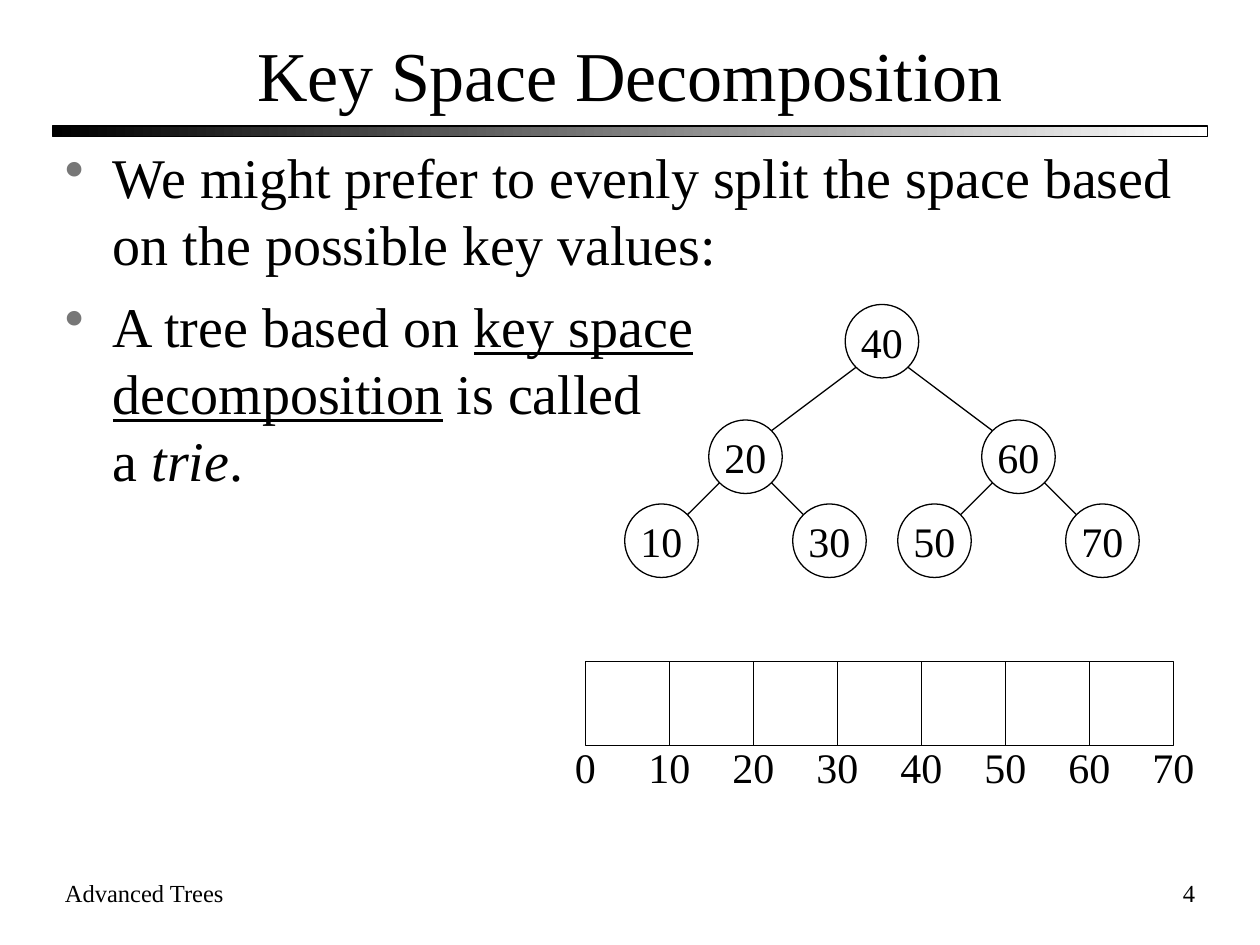
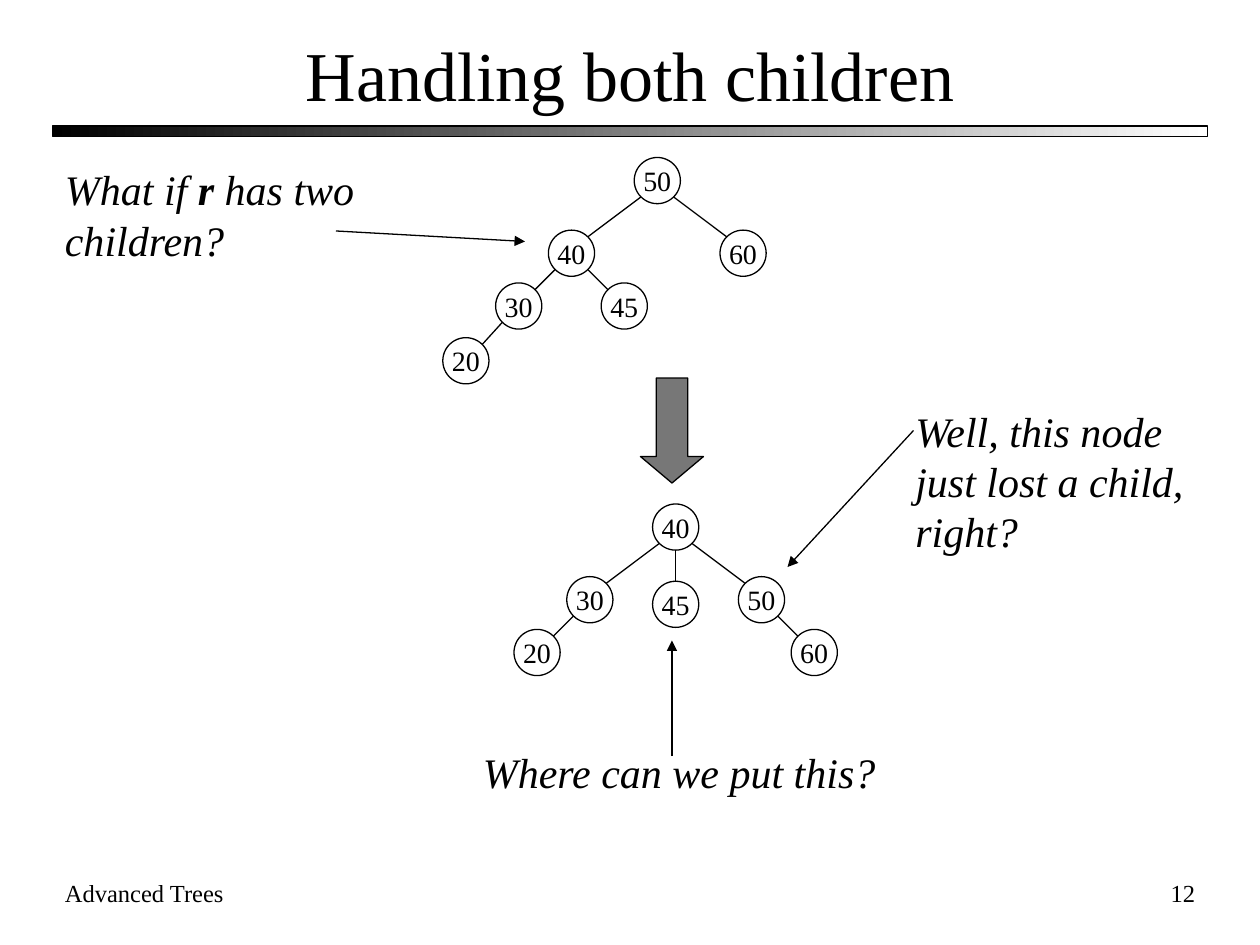
from collections import namedtuple
from dataclasses import dataclass

from lxml import etree
from pptx import Presentation
from pptx import util as u
from pptx.dml.color import RGBColor
from pptx.enum import shapes, text
from pptx.oxml.ns import qn

Box = namedtuple("Box", "left top width height")
Span = namedtuple("Span", "text bold italic underline", defaults=(None, None, None))
COLUMNS, ROWS = 120, 90
CELL = u.Inches(10) / COLUMNS
NODE_UNITS = 7
BREAK = Span("\n")


@dataclass(frozen=True)
class Theme:
    """Colours, font and type sizes of the deck."""
    ink: RGBColor = RGBColor(0, 0, 0)
    paper: RGBColor = RGBColor(255, 255, 255)
    accent: RGBColor = RGBColor(0x77, 0x77, 0x77)
    font: str = "Times New Roman"
    title: int = 40
    body: int = 32
    note: int = 24
    small_node: int = 16
    footer: int = 14
    line: float = 0.75


THEME = Theme()

TITLE = Box(5, 2, 110, 10)
BAND = Box(5, 12, 110, 1)
BODY = Box(5, 13, 110, 68)
FOOTER = Box(5, 83, 42, 6)
NUMBER = Box(90, 83, 25, 6)

KEY_TRIE = {
    "40": (None, 0, 0),
    "20": ("40", -13, 11), "60": ("40", 13, 11),
    "10": ("20", -8, 8), "30": ("20", 8, 8),
    "50": ("60", -8, 8), "70": ("60", 8, 8),
}
TREE_BEFORE = {
    "50": (None, 0, 0),
    "40": ("50", -13, 11), "60": ("50", 13, 11),
    "30": ("40", -8, 8), "45": ("40", 8, 8),
    "20": ("30", -8, 8.3),
}
TREE_AFTER = {
    "40": (None, 0, 0),
    "30": ("40", -13, 11), "45": ("40", 0, 11.7), "50": ("40", 13, 11),
    "20": ("30", -8, 8), "60": ("50", 8, 8),
}


def emu(*cells):
    """Turn grid cells into slide lengths."""
    return [u.Emu(round(cell * CELL)) for cell in cells]


def style_font(para, size, italic=None):
    """Give a paragraph the deck's font and ink."""
    font = para.font
    font.name, font.size, font.italic = THEME.font, u.Pt(size), italic
    font.color.rgb = THEME.ink


def fill_para(para, spans):
    """Write spans and line breaks into a paragraph."""
    for item in spans:
        if item == BREAK:
            para.add_line_break()
            continue
        span = para.add_run()
        span.text = item.text
        span.font.bold = item.bold
        span.font.italic = item.italic
        span.font.underline = item.underline


def add_text(page, box, spans, size, align=text.PP_ALIGN.LEFT, italic=None,
             wrap=True, anchor=text.MSO_ANCHOR.TOP):
    """Add a one-paragraph text box."""
    frame = page.shapes.add_textbox(*emu(*box)).text_frame
    frame.word_wrap, frame.vertical_anchor = wrap, anchor
    para = frame.paragraphs[0]
    para.alignment = align
    style_font(para, size, italic)
    fill_para(para, spans)


def add_outline(page, kind, box):
    """Add an unfilled preset shape with a thin ink line."""
    shape = page.shapes.add_shape(kind, *emu(*box))
    shape.shadow.inherit = False
    shape.fill.background()
    shape.line.color.rgb, shape.line.width = THEME.ink, u.Pt(THEME.line)
    return shape


def add_line(page, start, end, arrow=False):
    """Add a straight line, with an arrowhead at its end on request."""
    line = page.shapes.add_connector(shapes.MSO_CONNECTOR.STRAIGHT, *emu(*start, *end))
    line.line.color.rgb, line.line.width = THEME.ink, u.Pt(THEME.line)
    properties = line._element.spPr
    etree.SubElement(properties, qn("a:effectLst"))
    if arrow:
        etree.SubElement(properties.find(qn("a:ln")), qn("a:tailEnd"), type="triangle")


def add_frame(deck, title, number):
    """Add a page with title, gradient band and footer."""
    page = deck.slides.add_slide(deck.slide_layouts[6])
    band = add_outline(page, shapes.MSO_SHAPE.RECTANGLE, BAND)
    band.fill.gradient()
    band.fill.gradient_angle = 0
    for stop, color in zip(band.fill.gradient_stops, (THEME.ink, THEME.paper)):
        stop.color.rgb = color
    add_text(page, FOOTER, [Span("Advanced Trees")], THEME.footer)
    add_text(page, NUMBER, [Span(str(number))], THEME.footer, text.PP_ALIGN.RIGHT)
    add_text(page, TITLE, [Span(title)], THEME.title, text.PP_ALIGN.CENTER,
             anchor=text.MSO_ANCHOR.MIDDLE)
    return page


def add_bullets(page, box, items):
    """Add a text box of bulleted paragraphs."""
    frame = page.shapes.add_textbox(*emu(*box)).text_frame
    frame.word_wrap = True
    for index, spans in enumerate(items):
        para = frame.add_paragraph() if index else frame.paragraphs[0]
        properties = para._p.get_or_add_pPr()
        indent = u.Inches(0.38)
        properties.set("marL", str(indent))
        properties.set("indent", str(-indent))
        color = etree.SubElement(properties, qn("a:buClr"))
        etree.SubElement(color, qn("a:srgbClr"), val=str(THEME.accent))
        etree.SubElement(properties, qn("a:buChar"), char="•")
        if index:
            para.space_before = u.Pt(8)
        style_font(para, THEME.body)
        fill_para(para, spans)


def add_tree(page, root, nodes, size):
    """Draw a tree whose root fills the given box, nodes placed from their parents."""
    unit = root.width / NODE_UNITS
    radius = root.width / 2
    diagonal = radius * 0.71
    centers = {}
    for label, (parent, across, down) in nodes.items():
        x, y = centers.get(parent, (root.left + radius, root.top + radius))
        center = x + across * unit, y + down * unit
        centers[label] = center
        if parent:
            side = (across > 0) - (across < 0)
            reach = diagonal if side else radius
            shift = side * diagonal
            add_line(page, (x + shift, y + reach), (center[0] - shift, center[1] - reach))
        circle = add_outline(page, shapes.MSO_SHAPE.OVAL,
                             Box(center[0] - radius, center[1] - radius, *root[2:]))
        frame = circle.text_frame
        frame.word_wrap, frame.vertical_anchor = False, text.MSO_ANCHOR.MIDDLE
        para = frame.paragraphs[0]
        para.alignment = text.PP_ALIGN.CENTER
        style_font(para, size)
        fill_para(para, [Span(label)])


def add_key_ruler(page, box, count):
    """Draw equal key ranges with a label under every boundary."""
    step = box.width / count
    for index in range(count + 1):
        left = box.left + index * step
        if index < count:
            add_outline(page, shapes.MSO_SHAPE.RECTANGLE,
                        Box(left, box.top, step, box.height))
        add_text(page, Box(left - step / 2, box.top + box.height - 1, step, 6),
                 [Span(str(index * 10))], THEME.note, text.PP_ALIGN.CENTER, wrap=False)


def add_note(page, box, spans, start, end, wrap=True):
    """Add an italic remark and the arrow that leads from it."""
    add_text(page, box, spans, THEME.note, italic=True, wrap=wrap)
    add_line(page, start, end, arrow=True)


def add_down_arrow(page, box):
    """Draw the block arrow between two trees."""
    arrow = add_outline(page, shapes.MSO_SHAPE.DOWN_ARROW, box)
    arrow.adjustments[0], arrow.adjustments[1] = 0.5, 0.42
    arrow.fill.solid()
    arrow.fill.fore_color.rgb = THEME.accent


def build_decomposition(deck):
    """Build the page on key space decomposition."""
    page = add_frame(deck, "Key Space Decomposition", 4)
    add_bullets(page, BODY, [
        [Span("We might prefer to evenly split the space based on the possible key values:")],
        [Span("A tree based on "), Span("key space", underline=True), BREAK,
         Span("decomposition", underline=True), Span(" is called"), BREAK,
         Span("a "), Span("trie", italic=True), Span(".")],
    ])
    add_tree(page, Box(80.5, 29, 7, 7), KEY_TRIE, THEME.note)
    add_key_ruler(page, Box(55.75, 63, 56, 8), 7)


def build_children(deck):
    """Build the page on removing a node with two children."""
    page = add_frame(deck, "Handling both children", 12)
    add_tree(page, Box(60.4, 15, 4.4, 4.4), TREE_BEFORE, THEME.small_node)
    add_down_arrow(page, Box(61, 36, 6, 10))
    add_tree(page, Box(62.15, 48, 4.4, 4.4), TREE_AFTER, THEME.small_node)
    add_note(page, Box(5, 15, 34, 10.8),
             [Span("What if "), Span("r", bold=True), Span(" has two children?")],
             (32, 22), (50, 23))
    add_note(page, Box(44.8, 70.5, 40, 6), [Span("Where can we put this?")],
             (64, 72), (64, 61), wrap=False)
    add_note(page, Box(86, 38, 30, 15.6),
             [Span("Well, this node just lost a child, right?")], (87, 41), (75, 54))


def main():
    """Build and save the deck."""
    deck = Presentation()
    deck.slide_width, deck.slide_height = emu(COLUMNS, ROWS)
    build_decomposition(deck)
    build_children(deck)
    deck.save("out.pptx")


if __name__ == "__main__":
    main()
